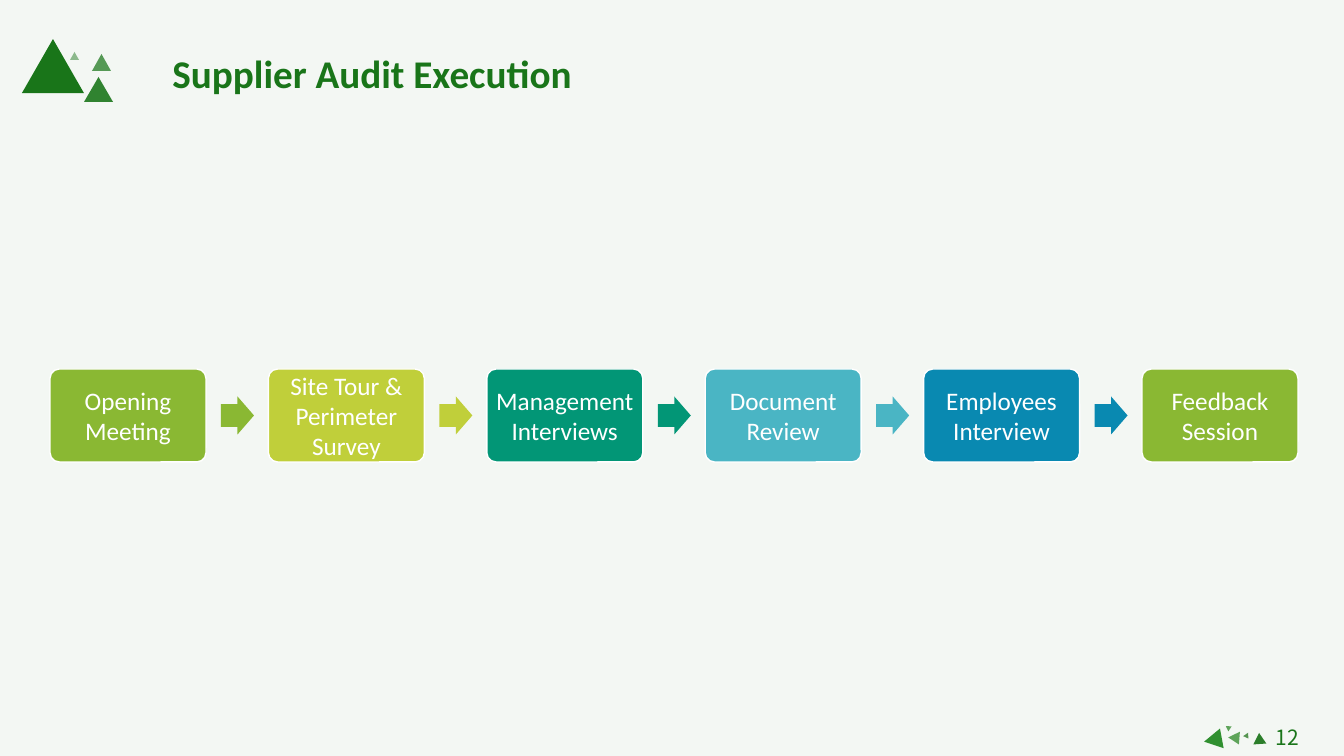
from lxml import etree
from pptx import Presentation
from pptx import util as u
from pptx.dml.color import RGBColor
from pptx.enum import shapes, text
from pptx.oxml.ns import qn

# Content
TITLE = "Supplier Audit Execution"
PAGE = "12"
STEPS = [
    ("Opening Meeting", "8AB833"),
    ("Site Tour & Perimeter Survey", "C0CF3A"),
    ("Management Interviews", "029676"),
    ("Document Review", "4AB5C4"),
    ("Employees Interview", "0989B1"),
    ("Feedback Session", "8AB833"),
]

THEME = {
    "back": "F3F7F3", "green": "197519", "white": "FFFFFF",
    "font": "Calibri", "page_font": "Noto Sans CJK SC",
    "title_size": 28, "step_size": 18, "page_size": 15,
}

# Triangles: (left, top, width, height), rotation, colour, opacity in percent
TITLE_TRIANGLES = [
    ((22, 39, 62, 54), 0, THEME["green"], 100),
    ((84, 77, 29, 25), 0, THEME["green"], 89),
    ((70, 52, 9, 8), 0, THEME["green"], 47),
    ((92, 54, 19, 17), 0, THEME["green"], 72),
]
PAGE_TRIANGLES = [
    ((1230, 734, 13, 11), 153.9, "5EA45A", 100),
    ((1203, 731, 20, 18), 259.5, "309030", 100),
    ((1253, 733, 13, 11), 356.2, "2B7E2A", 100),
    ((1225, 725, 6, 5), 303.5, "5EA45A", 100),
    ((1244, 734, 6, 5), 145.8, "559551", 100),
]

# Layout in px
SLIDE_W, SLIDE_H = 1344, 756
TITLE_BOX = (124, 44, 496, 57)
PAGE_BOX = (1253, 720, 69, 35)
FIRST_LEFT, LAST_LEFT = 50, 1142
STEP_TOP, STEP_W, STEP_H = 369, 156, 93
ARROW_OFFSET, ARROW_W, ARROW_H = 171, 33, 38
STEP_INSET = 4
EMU_PER_PX = 914400 / 100.8


def px(value):
    return u.Emu(round(value * EMU_PER_PX))


def add_shape(kind, box, colour, adjustments=()):
    shape = slide.shapes.add_shape(kind, *map(px, box))
    shape.shadow.inherit = False
    shape.fill.solid()
    shape.fill.fore_color.rgb = RGBColor.from_string(colour)
    shape.line.fill.background()
    for index, amount in enumerate(adjustments):
        shape.adjustments[index] = amount
    return shape


def add_triangle(box, rotation, colour, opacity):
    triangle = add_shape(shapes.MSO_SHAPE.ISOSCELES_TRIANGLE, box, colour)
    triangle.rotation = rotation
    if opacity < 100:
        fill = triangle.fill._xPr.find(qn("a:solidFill"))
        etree.SubElement(fill[0], qn("a:alpha"), val=str(opacity * 1000))


def write(frame, words, size, colour, font, bold=False):
    frame.text = words
    frame.word_wrap = True
    line = frame.paragraphs[0]
    line.alignment = text.PP_ALIGN.CENTER
    style = line.runs[0].font
    style.size, style.name, style.bold = u.Pt(size), font, bold
    style.color.rgb = RGBColor.from_string(colour)


def add_label(box, *style, bold=False):
    frame = slide.shapes.add_textbox(*map(px, box)).text_frame
    write(frame, *style, bold=bold)
    frame.auto_size = text.MSO_AUTO_SIZE.SHAPE_TO_FIT_TEXT


deck = Presentation()
deck.slide_width, deck.slide_height = px(SLIDE_W), px(SLIDE_H)
slide = deck.slides.add_slide(deck.slide_layouts[6])
slide.background.fill.solid()
slide.background.fill.fore_color.rgb = RGBColor.from_string(THEME["back"])

# Ornaments, page number and title
for ornament in PAGE_TRIANGLES + TITLE_TRIANGLES:
    add_triangle(*ornament)
add_label(PAGE_BOX, PAGE, THEME["page_size"], THEME["green"], THEME["page_font"])
add_label(TITLE_BOX, TITLE, THEME["title_size"], THEME["green"], THEME["font"], bold=True)

# Process steps, each but the last followed by an arrow
pitch = (LAST_LEFT - FIRST_LEFT) / (len(STEPS) - 1)
arrow_top = STEP_TOP + (STEP_H - ARROW_H) / 2
for index, (name, colour) in enumerate(STEPS):
    left = FIRST_LEFT + index * pitch
    step = add_shape(shapes.MSO_SHAPE.ROUNDED_RECTANGLE,
                     (left, STEP_TOP, STEP_W, STEP_H), colour, [0.1])
    step.line.color.rgb = RGBColor.from_string(THEME["white"])
    step.line.width = u.Pt(1)
    frame = step.text_frame
    write(frame, name, THEME["step_size"], THEME["white"], THEME["font"])
    frame.vertical_anchor = text.MSO_ANCHOR.MIDDLE
    frame.margin_left = frame.margin_right = px(STEP_INSET)
    frame.margin_top = frame.margin_bottom = px(STEP_INSET)
    if index < len(STEPS) - 1:
        add_shape(shapes.MSO_SHAPE.RIGHT_ARROW,
                  (left + ARROW_OFFSET, arrow_top, ARROW_W, ARROW_H), colour, [0.6, 0.5])

deck.save("out.pptx")
